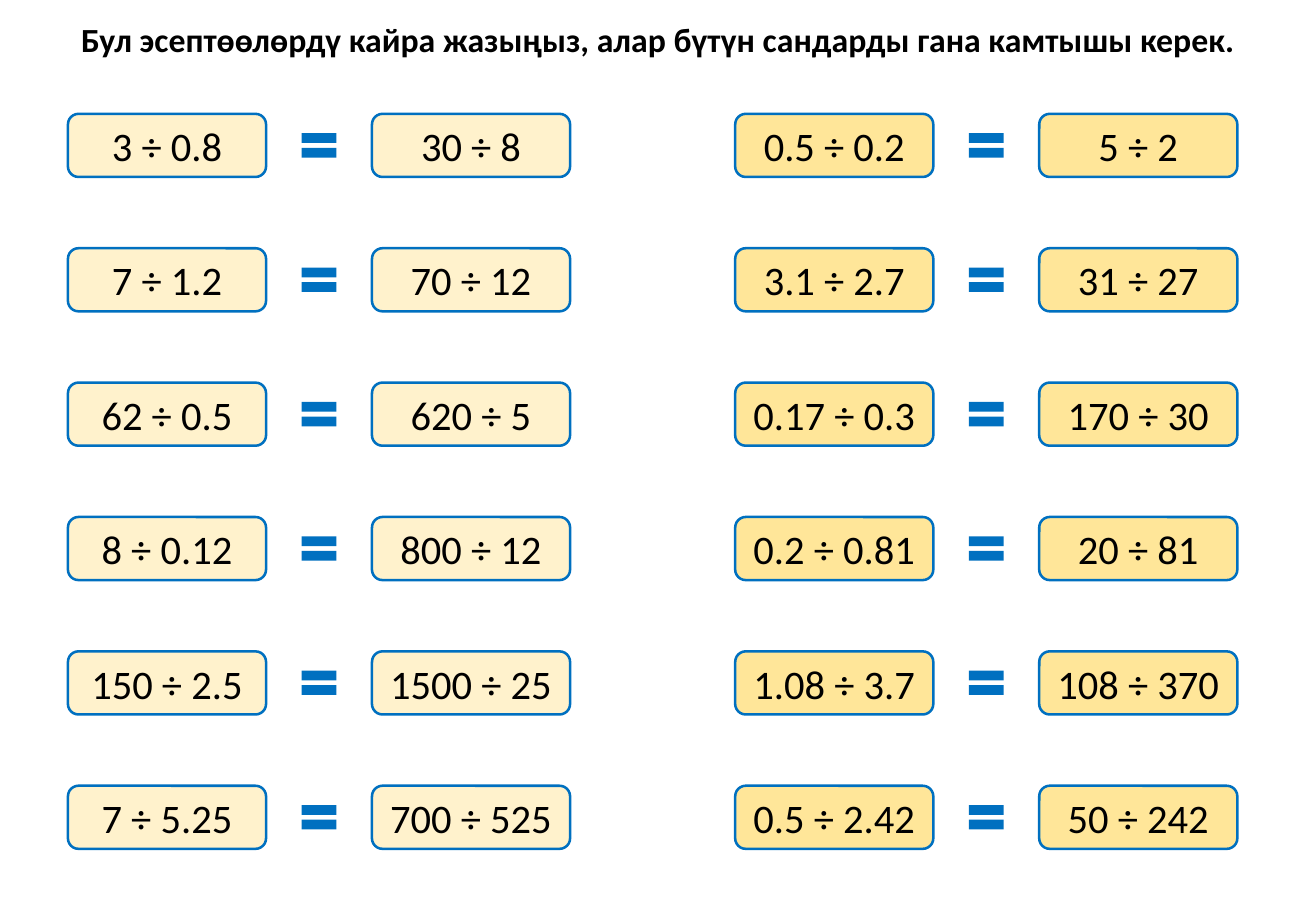
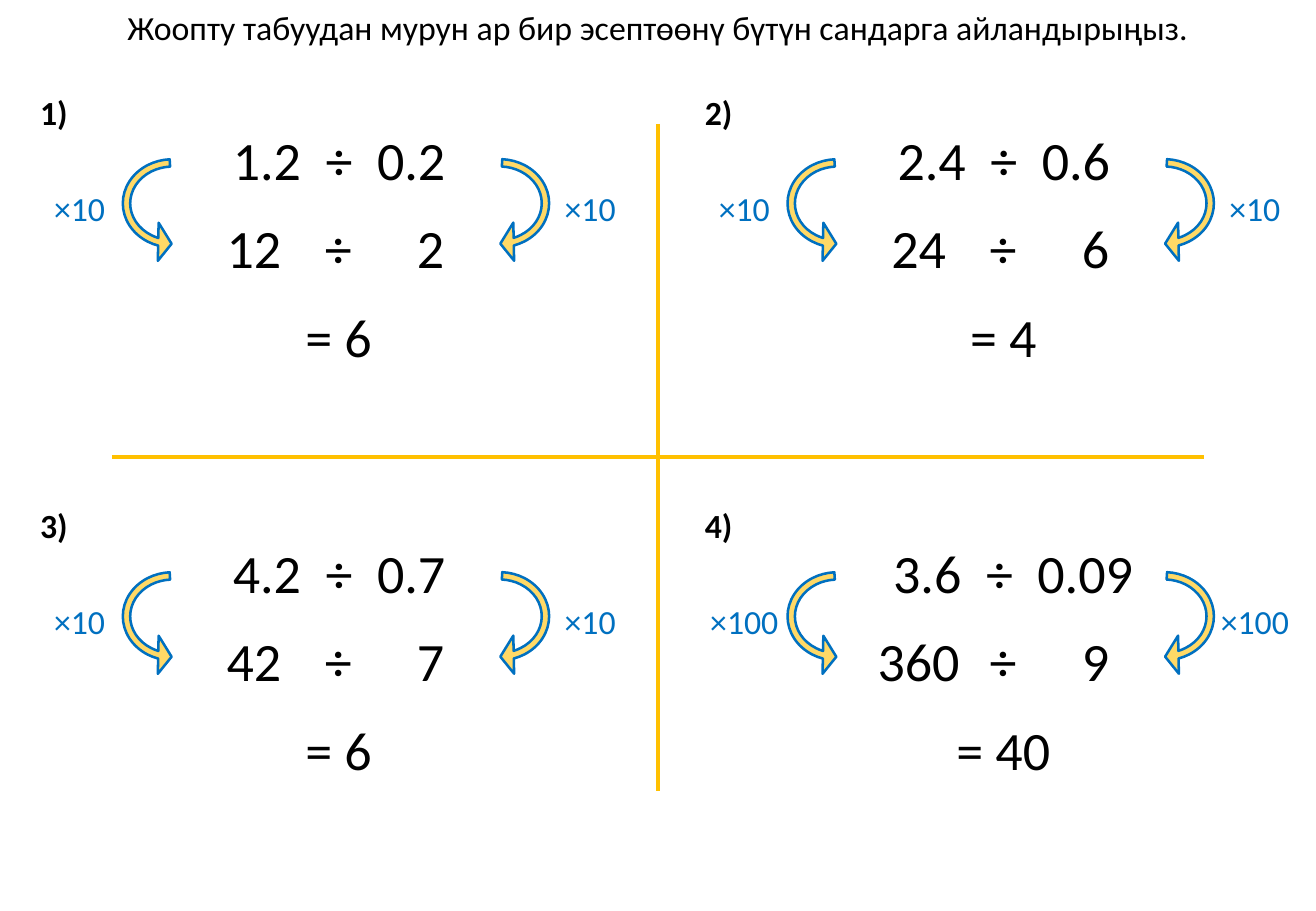
"""Build two worksheet slides about turning decimal divisions into whole-number ones."""
import pptx
import pptx.util
import pptx.dml.color
import pptx.enum.shapes
import pptx.enum.text
import lxml.etree

Pt = pptx.util.Pt
SHAPE = pptx.enum.shapes.MSO_SHAPE
FONT = "Calibri"
COLOURS = {"ink": "000000", "blue": "0070C0", "cream": "FFF2CC",
           "sand": "FFE699", "arrow": "FFD966", "divider": "FFC000"}

REWRITE_TITLE = "Бул эсептөөлөрдү кайра жазыңыз, алар бүтүн сандарды гана камтышы керек."
REWRITES = [
    ("cream", [("3 ÷ 0.8", "30 ÷ 8"), ("7 ÷ 1.2", "70 ÷ 12"),
               ("62 ÷ 0.5", "620 ÷ 5"), ("8 ÷ 0.12", "800 ÷ 12"),
               ("150 ÷ 2.5", "1500 ÷ 25"), ("7 ÷ 5.25", "700 ÷ 525")]),
    ("sand", [("0.5 ÷ 0.2", "5 ÷ 2"), ("3.1 ÷ 2.7", "31 ÷ 27"),
              ("0.17 ÷ 0.3", "170 ÷ 30"), ("0.2 ÷ 0.81", "20 ÷ 81"),
              ("1.08 ÷ 3.7", "108 ÷ 370"), ("0.5 ÷ 2.42", "50 ÷ 242")]),
]

SOLVE_TITLE = "Жоопту табуудан мурун ар бир эсептөөнү бүтүн сандарга айландырыңыз."
PROBLEMS = [
    {"decimal": "1.2 ÷ 0.2", "whole": ("12", "2"), "factor": "×10", "answer": "= 6", "centre": 201},
    {"decimal": "2.4 ÷ 0.6", "whole": ("24", "6"), "factor": "×10", "answer": "= 4", "centre": 201},
    {"decimal": "4.2 ÷ 0.7", "whole": ("42", "7"), "factor": "×10", "answer": "= 6", "centre": 201},
    {"decimal": "3.6 ÷ 0.09", "whole": ("360", "9"), "factor": "×100", "answer": "= 40", "centre": 206.5},
]

SLIDE_W, SLIDE_H = 780, 540
BOX_W, BOX_H = 117.4, 37.4
EQUAL_W, EQUAL_H = 28, 24.5
PAIR_LEFT, PAIR_TOP, ANSWER_SHIFT = 40.3, 67.5, 180.2
PAIR_DX, PAIR_DY = 395.5, 79.65
PANEL_DX, PANEL_DY = 394, 244.8
ARROW_W, ARROW_H = 70.5, 77
ARROW_BEND = (0.062, 11.423, 203.847, 110.164, 0.16)
INSET, SPACE_EM, DIGIT_EM = 7.2, 0.226, 0.507
GLYPH_EM = {" ": SPACE_EM, ".": 0.252, "÷": 0.498, "×": 0.498, "=": 0.498, ")": 0.303}


def rgb(colour):
    return pptx.dml.color.RGBColor.from_string(COLOURS[colour])


def style(paragraph, size, colour="ink", bold=False):
    paragraph.alignment = pptx.enum.text.PP_ALIGN.CENTER
    font = paragraph.font
    font.name, font.size, font.bold = FONT, Pt(size), bold
    font.color.rgb = rgb(colour)


def add_titled_slide(deck, title, top, bold):
    slide = deck.slides.add_slide(deck.slide_layouts[5])
    heading = slide.shapes.title
    heading.left, heading.top, heading.width, heading.height = Pt(30), Pt(top), Pt(SLIDE_W - 60), Pt(31.5)
    heading.text_frame.text = title
    heading.text_frame.word_wrap = False
    heading.text_frame.auto_size = pptx.enum.text.MSO_AUTO_SIZE.NONE
    style(heading.text_frame.paragraphs[0], 20, bold=bold)
    return slide


def add_filled(slide, preset, left, top, width, height, fill, outlined=True):
    shape = slide.shapes.add_shape(preset, Pt(left), Pt(top), Pt(width), Pt(height))
    shape.shadow.inherit = False
    shape.fill.solid()
    shape.fill.fore_color.rgb = rgb(fill)
    if outlined:
        shape.line.color.rgb = rgb("blue")
        shape.line.width = Pt(1.5)
    else:
        shape.line.fill.background()
    return shape


def add_label(slide, text, centre, top, size, colour="ink", bold=False, wide_spaces=False):
    extra = SPACE_EM * size if wide_spaces else 0
    width = (sum(GLYPH_EM.get(glyph, DIGIT_EM) for glyph in text) * size
             + text.count(" ") * extra + 2 * INSET)
    label = slide.shapes.add_textbox(Pt(centre - width / 2), Pt(top), Pt(width), Pt(size * 1.22 + INSET))
    label.text_frame.word_wrap = False
    paragraph = label.text_frame.paragraphs[0]
    pieces = text.replace(" ", "| |").split("|") if wide_spaces else [text]
    for piece in pieces:
        run = paragraph.add_run()
        run.text = piece
        if wide_spaces and piece == " ":
            run.font._element.set("spc", str(round(extra * 100)))
    style(paragraph, size, colour, bold)


def add_divider(slide, x1, y1, x2, y2):
    divider = slide.shapes.add_connector(pptx.enum.shapes.MSO_CONNECTOR.STRAIGHT,
                                         Pt(x1), Pt(y1), Pt(x2), Pt(y2))
    divider.line.color.rgb = rgb("divider")
    divider.line.width = Pt(2.25)
    lxml.etree.SubElement(divider.element.spPr, pptx.oxml.ns.qn("a:effectLst"))


def add_curved_arrow(slide, left, top, mirrored):
    arrow = add_filled(slide, SHAPE.CIRCULAR_ARROW, left, top, ARROW_W, ARROW_H, "arrow")
    for index, bend in enumerate(ARROW_BEND):
        arrow.adjustments[index] = bend
    arrow.rotation = 90
    if mirrored:
        arrow.element.spPr.xfrm.set("flipV", "1")


def add_rewrite(slide, pair, left, top, fill):
    for index, calculation in enumerate(pair):
        box = add_filled(slide, SHAPE.ROUNDED_RECTANGLE, left + index * ANSWER_SHIFT, top, BOX_W, BOX_H, fill)
        box.text_frame.text = calculation
        style(box.text_frame.paragraphs[0], 24)
    add_filled(slide, SHAPE.MATH_EQUAL, left + (ANSWER_SHIFT + BOX_W - EQUAL_W) / 2,
               top + (BOX_H - EQUAL_H) / 2, EQUAL_W, EQUAL_H, "blue", outlined=False)


def add_problem(slide, number, problem, dx, dy):
    dividend, divisor = problem["whole"]
    add_label(slide, f"{number})", 32 + dx, 51 + dy, 20, bold=True)
    add_label(slide, problem["decimal"], problem["centre"] + dx, 71.4 + dy, 32, wide_spaces=True)
    for text, centre in ((dividend, 150.5), ("÷", 200.5), (divisor, 255.3)):
        add_label(slide, text, centre + dx, 123.8 + dy, 32)
    add_label(slide, problem["answer"], 200.7 + dx, 176.5 + dy, 32)
    for arrow_left, factor_centre, mirrored in ((67, 47.2, True), (260.8, 349.8, False)):
        add_curved_arrow(slide, arrow_left + dx, 82 + dy, mirrored)
        add_label(slide, problem["factor"], factor_centre + dx, 108 + dy, 20, "blue")


def main():
    deck = pptx.Presentation()
    deck.slide_width, deck.slide_height = Pt(SLIDE_W), Pt(SLIDE_H)

    rewriting = add_titled_slide(deck, REWRITE_TITLE, 7.2, True)
    for column, (fill, pairs) in enumerate(REWRITES):
        for row, pair in enumerate(pairs):
            add_rewrite(rewriting, pair, PAIR_LEFT + column * PAIR_DX, PAIR_TOP + row * PAIR_DY, fill)

    solving = add_titled_slide(deck, SOLVE_TITLE, 0, False)
    add_divider(solving, 390, 73.5, 390, 468.7)
    add_divider(solving, 66.3, 270.8, 713.5, 270.8)
    for index, problem in enumerate(PROBLEMS):
        row, column = divmod(index, 2)
        add_problem(solving, index + 1, problem, column * PANEL_DX, row * PANEL_DY)

    deck.save("out.pptx")


if __name__ == "__main__":
    main()
